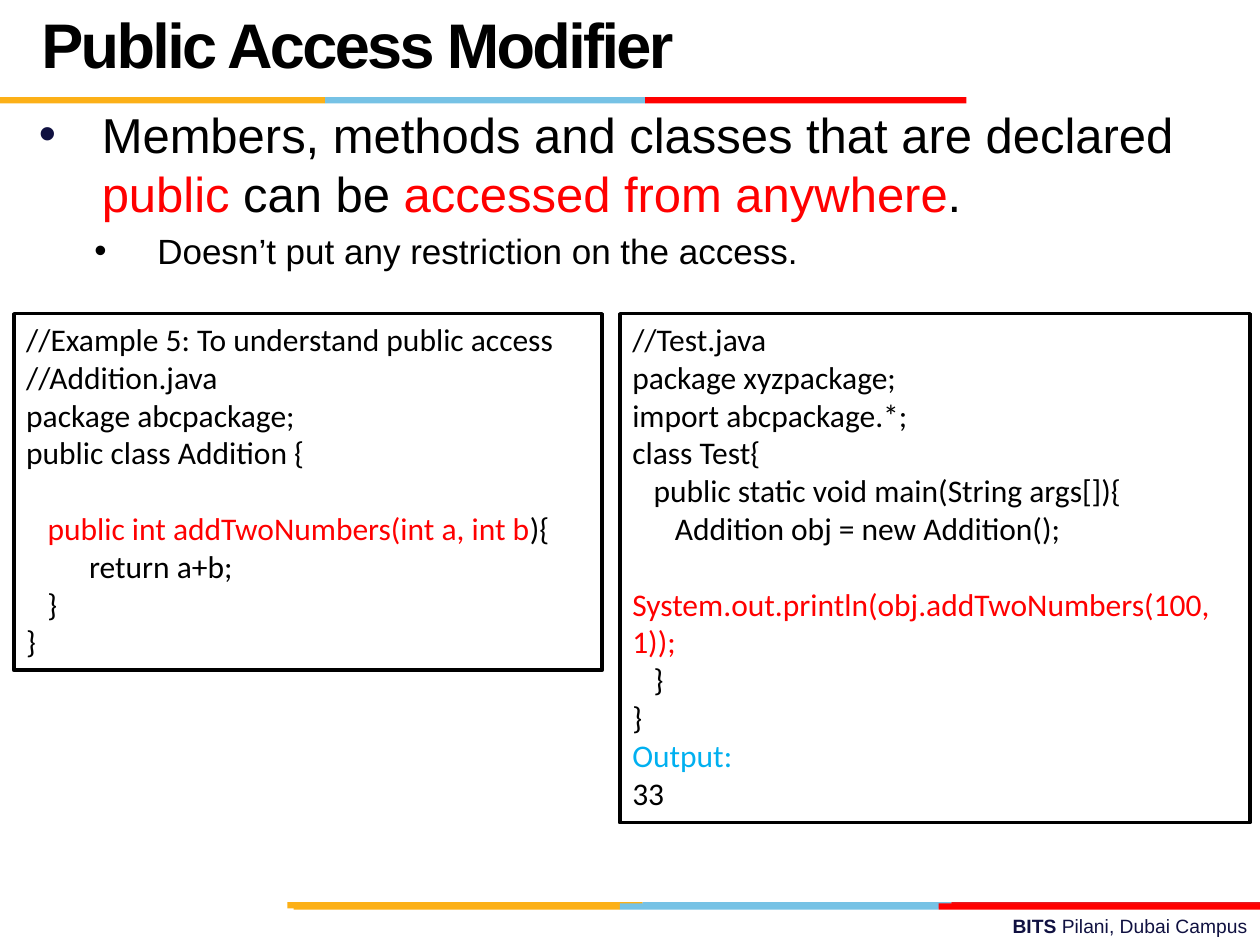
from lxml.etree import SubElement as Sub
from pptx import Presentation
from pptx.dml.color import RGBColor as Rgb
from pptx.enum.shapes import MSO_SHAPE as Kind
from pptx.enum.text import MSO_ANCHOR as Anchor, PP_ALIGN as Align
from pptx.oxml.ns import qn
from pptx.util import Inches, Pt

COLS, ROWS = 100, 75
WIDE, HIGH = Inches(10), Inches(7.5)
HUES = {"black": "000000", "white": "FFFFFF", "red": "FF0000", "brick": "E31C24",
        "gold": "FCB017", "sky": "76C2E5", "cyan": "00B0F0", "navy": "101141"}

ADD = [
    [("//Example 5: To understand public access", "black")],
    [("//Addition.java", "black")],
    [("package abcpackage;", "black")],
    [("public class Addition {", "black")],
    [("   ", "black"), ("public int addTwoNumbers(int a, int b", "red"), ("){", "black")],
    [("\treturn a+b;", "black")],
    [("   }", "black")],
    [("}", "black")],
]
TEST = [
    [("//Test.java", "black")],
    [("package xyzpackage;", "black")],
    [("import abcpackage.*;", "black")],
    [("class Test{", "black")],
    [("   public static void main(String args[]){", "black")],
    [("      Addition obj = new Addition();", "black")],
    [("      ", "black"), ("System.out.println(obj.addTwoNumbers(100, 1));", "red")],
    [("   }", "black")],
    [("}", "black")],
    [("Output:", "cyan")],
    [("33", "black")],
]


def hue(name):
    """Return the named colour."""
    return Rgb.from_string(HUES[name])


def area(col, row, cols, rows):
    """Turn grid columns and rows into a place and size."""
    x, y = WIDE / COLS, HIGH / ROWS
    return [round(n) for n in (col * x, row * y, cols * x, rows * y)]


def write(para, text, tint, size, face="Arial", bold=False):
    """Add one styled run to a paragraph."""
    run = para.add_run()
    run.text = text
    font = run.font
    font.name, font.size, font.bold = face, Pt(size), bold
    font.color.rgb = hue(tint)
    return run


def block(slide, *spot):
    """Add a wrapping text box and return its frame."""
    frame = slide.shapes.add_textbox(*area(*spot)).text_frame
    frame.word_wrap = True
    return frame


def panel(slide, fill, *spot):
    """Add a flat filled rectangle without an outline."""
    box = slide.shapes.add_shape(Kind.RECTANGLE, *area(*spot))
    box.shadow.inherit = False
    box.fill.solid()
    box.fill.fore_color.rgb = hue(fill)
    box.line.fill.background()
    return box


def strip(slide, row, marks, last="red"):
    """Lay a three-colour rule between column marks."""
    for tint, left, right in zip(("gold", "sky", last), marks, marks[1:]):
        panel(slide, tint, left, row, right - left, 0.5)


def bullet(para, left, tint):
    """Give a paragraph a hanging bullet."""
    props = para._p.get_or_add_pPr()
    props.set("marL", str(Inches(left)))
    props.set("indent", str(Inches(-0.5)))
    Sub(Sub(props, qn("a:buClr")), qn("a:srgbClr")).set("val", HUES[tint])
    Sub(props, qn("a:buFont")).set("typeface", "Arial")
    Sub(props, qn("a:buChar")).set("char", "•")


def title(slide, text):
    """Write the tightly spaced heading."""
    frame = block(slide, 2.3, 1.9, 69.2, 4)
    frame.vertical_anchor = Anchor.MIDDLE
    para = frame.paragraphs[0]
    para.line_spacing = Pt(36)
    run = write(para, text, "black", 36, bold=True)
    run._r.get_or_add_rPr().set("spc", "-150")


def points(slide):
    """Write the main point and its sub-point."""
    frame = block(slide, 2.1, 7.8, 96, 16)
    head = frame.paragraphs[0]
    bullet(head, 0.5, "navy")
    for text, tint in (("Members, methods and classes that are declared ", "black"),
                       ("public", "red"), (" can be ", "black"),
                       ("accessed from anywhere", "red"), (".", "black")):
        write(head, text, tint, 28)
    sub = frame.add_paragraph()
    sub.level = 1
    bullet(sub, 0.94, "black")
    sub.space_before = Pt(4)
    write(sub, "Doesn’t put any restriction on the access.", "black", 20)


def code(slide, lines, spot, gap=None):
    """Show a framed listing, with a gap above one line."""
    box = panel(slide, "white", *spot)
    box.line.color.rgb = hue("black")
    box.line.width = Pt(2)
    frame = box.text_frame
    frame.word_wrap = True
    frame.vertical_anchor = Anchor.TOP
    for i, runs in enumerate(lines):
        para = frame.add_paragraph() if i else frame.paragraphs[0]
        para.alignment = Align.LEFT
        if i == gap:
            para.space_before = Pt(21.6)
        for text, tint in runs:
            write(para, text, tint, 18, "Calibri")


def footer(slide):
    """Write the campus line at the lower right."""
    para = block(slide, 35.8, 72.1, 64.2, 2.9).paragraphs[0]
    para.alignment = Align.RIGHT
    write(para, "BITS ", "navy", 11, bold=True)
    write(para, "Pilani, Dubai Campus", "navy", 11)


def main():
    """Build the slide and save it."""
    deck = Presentation()
    deck.slide_width, deck.slide_height = WIDE, HIGH
    slide = deck.slides.add_slide(deck.slide_layouts[6])
    footer(slide)
    strip(slide, 71.6, (22.8, 51, 75.5, 100), "brick")
    strip(slide, 71.7, (23.3, 49.2, 74.5, 100))
    strip(slide, 7.7, (0, 25.8, 51.2, 76.7))
    points(slide)
    title(slide, "Public Access Modifier")
    code(slide, ADD, (1.1, 24.9, 46.7, 28.3), gap=4)
    code(slide, TEST, (49.2, 24.9, 50, 40.4))
    deck.save("out.pptx")


if __name__ == "__main__":
    main()
